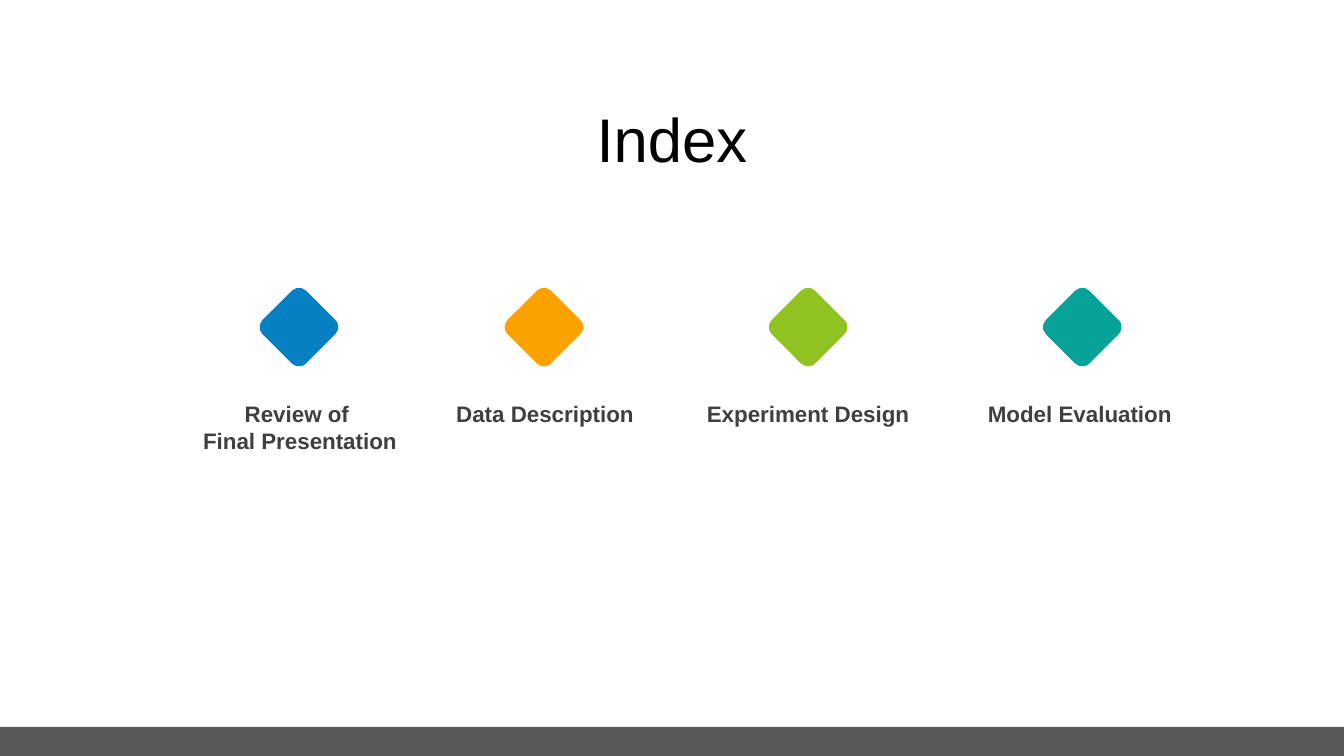
from pptx import Presentation
from pptx.dml.color import RGBColor
from pptx.enum.shapes import MSO_SHAPE
from pptx.enum.text import MSO_ANCHOR, PP_ALIGN
from pptx.util import Pt

PX = 9144  # EMU per px, 100 px to the inch
WIDE, HIGH = 1333, 750
RECT, ROUND = MSO_SHAPE.RECTANGLE, MSO_SHAPE.ROUNDED_RECTANGLE
TOP, MIDDLE = MSO_ANCHOR.TOP, MSO_ANCHOR.MIDDLE
CENTER = PP_ALIGN.CENTER

COLORS = {
    "bar": "595959",
    "title": "000000",
    "label": "3F3F3F",
    "blue": "0680C3",
    "orange": "FBA200",
    "green": "90C221",
    "teal": "07A398",
}
TITLE = {"name": "Arial", "size": Pt(44), "bold": False}
LABEL = {"name": "Arial", "size": Pt(16), "bold": True}

GEM, GEM_TOP, LABEL_TOP = 61, 294, 392
# gem left, gem color, label left, label width, label height, lines
TOPICS = [
    (266, "blue", 160, 275, 64, ["Review of ", "Final Presentation"]),
    (509, "orange", 435, 211, 37, ["Data Description"]),
    (771, "green", 688, 227, 37, ["Experiment Design"]),
    (1043, "teal", 958, 232, 37, ["Model Evaluation "]),
]


def color(key):
    return RGBColor.from_string(COLORS[key])


def scale(box):
    return [n * PX for n in box]


def add_block(slide, kind, box, fill):
    block = slide.shapes.add_shape(kind, *scale(box))
    block.shadow.inherit = False
    block.fill.solid()
    block.fill.fore_color.rgb = color(fill)
    block.line.fill.background()
    return block


def add_gem(slide, left, fill):
    """Draw a rounded square standing on its corner."""
    gem = add_block(slide, ROUND, (left, GEM_TOP, GEM, GEM), fill)
    gem.adjustments[0] = 0.16
    gem.rotation = 315


def add_text(slide, box, lines, style, ink, anchor=TOP, spacing=1.0):
    frame = slide.shapes.add_textbox(*scale(box)).text_frame
    frame.word_wrap = True
    frame.vertical_anchor = anchor
    frame.text = "\n".join(lines)
    for para in frame.paragraphs:
        para.alignment = CENTER
        para.line_spacing = spacing
        font = para.runs[0].font
        for key, value in style.items():
            setattr(font, key, value)
        font.color.rgb = color(ink)


def main():
    deck = Presentation()
    deck.slide_width, deck.slide_height = scale((WIDE, HIGH))
    slide = deck.slides.add_slide(deck.slide_layouts[6])

    add_block(slide, RECT, (0, 721, WIDE, 29), "bar")
    add_text(slide, (0, 99, WIDE, 85), ["Index"], TITLE, "title", MIDDLE, 0.9)
    for gem, fill, left, width, height, lines in TOPICS:
        add_text(slide, (left, LABEL_TOP, width, height), lines, LABEL, "label")
        add_gem(slide, gem, fill)

    deck.save("out.pptx")


if __name__ == "__main__":
    main()
